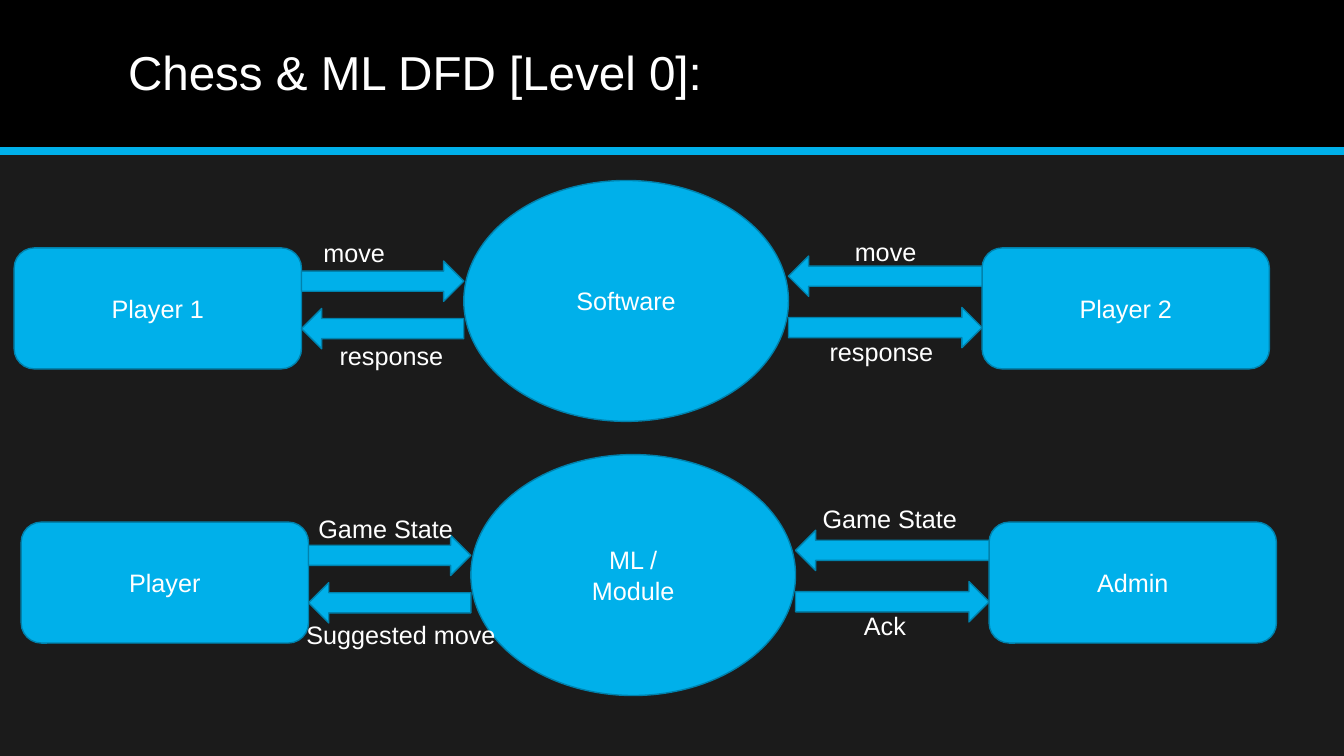
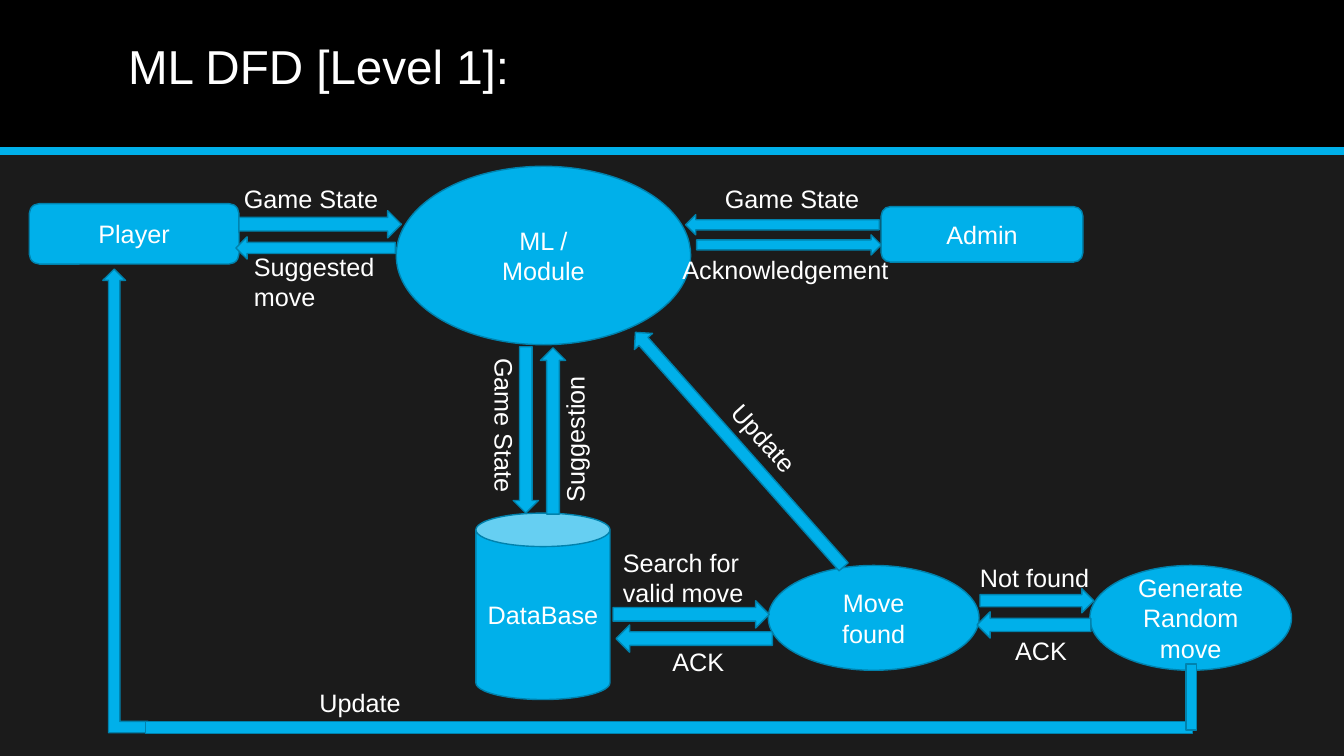
from dataclasses import dataclass

import pptx
import pptx.util
from lxml import etree
from pptx.dml.color import RGBColor
from pptx.enum.shapes import MSO_CONNECTOR, MSO_SHAPE
from pptx.enum.text import MSO_ANCHOR, MSO_AUTO_SIZE, PP_ALIGN
from pptx.oxml.ns import qn
from pptx.presentation import Presentation
from pptx.shapes.autoshape import Shape
from pptx.slide import Slide, SlideLayout
from pptx.text.text import TextFrame
from pptx.util import Inches, Pt


@dataclass(frozen=True)
class Theme:
    background: RGBColor = RGBColor(0x1B, 0x1B, 0x1B)
    band: RGBColor = RGBColor(0, 0, 0)
    accent: RGBColor = RGBColor(0x00, 0xB0, 0xEA)
    outline: RGBColor = RGBColor(0x00, 0x82, 0xAD)
    text: RGBColor = RGBColor(0xFF, 0xFF, 0xFF)
    font: str = "Arial"
    title_size: int = 34
    text_size: int = 18


THEME = Theme()
SLIDE_WIDTH, SLIDE_HEIGHT = 13.33, 7.5
BAND_HEIGHT = 1.5


@dataclass(frozen=True)
class Block:
    """A preset shape; lengths in inches, rotation in degrees."""
    kind: MSO_SHAPE
    left: float
    top: float
    width: float
    height: float
    text: str = ""
    rotation: float = 0
    mirrored: bool = False


@dataclass(frozen=True)
class Label:
    text: str
    left: float
    top: float
    width: float
    height: float = 0.4
    rotation: float = 0


@dataclass(frozen=True)
class Exchange:
    """Two outer entities that each trade data with a central process."""
    left_entity: str
    process: str
    right_entity: str
    dx: float
    dy: float


def arrow(left: float, top: float, width: float, height: float, rotation: float = 0) -> Block:
    return Block(MSO_SHAPE.RIGHT_ARROW, left, top, width, height, rotation=rotation)


def exchange_blocks(exchange: Exchange) -> list[Block]:
    dx, dy = exchange.dx, exchange.dy
    entity_top, entity_width, entity_height = 2.46 + dy, 2.85, 1.2
    left, process_left, right = 0.14 + dx, 4.6 + dx, 9.74 + dx
    process_width, arrow_height = 3.22, 0.4
    left_gap = left + entity_width
    right_gap = process_left + process_width
    left_span, right_span = process_left - left_gap, right - right_gap
    return [
        Block(MSO_SHAPE.ROUNDED_RECTANGLE, left, entity_top, entity_width, entity_height,
              exchange.left_entity),
        Block(MSO_SHAPE.OVAL, process_left, 1.79 + dy, process_width, 2.39, exchange.process),
        Block(MSO_SHAPE.ROUNDED_RECTANGLE, right, entity_top, entity_width, entity_height,
              exchange.right_entity),
        arrow(left_gap, 2.59 + dy, left_span, arrow_height),
        arrow(left_gap, 3.06 + dy, left_span, arrow_height, 180),
        arrow(right_gap, 2.54 + dy, right_span, arrow_height, 180),
        arrow(right_gap, 3.05 + dy, right_span, arrow_height),
    ]


LEVEL_0_EXCHANGES = [
    Exchange("Player 1", "Software", "Player 2", 0, 0),
    Exchange("Player", "ML /\nModule", "Admin", 0.07, 2.72),
]
LEVEL_0_BLOCKS = [block for exchange in LEVEL_0_EXCHANGES for block in exchange_blocks(exchange)]
LEVEL_0_LABELS = [
    Label("move", 3.11, 2.31, 1.26),
    Label("move", 8.38, 2.3, 1.26),
    Label("response", 8.13, 3.29, 1.26),
    Label("response", 3.27, 3.33, 1.26),
    Label("Game State", 3.06, 5.04, 1.71),
    Label("Game State", 8.06, 4.94, 1.83),
    Label("Ack", 8.47, 6.01, 1.26),
    Label("Suggested move", 2.94, 6.09, 2.33),
]

LEVEL_1_BLOCKS = [
    Block(MSO_SHAPE.ROUNDED_RECTANGLE, 0.29, 2.02, 2.08, 0.6, "Player"),
    arrow(2.37, 2.09, 1.61, 0.27),
    Block(MSO_SHAPE.OVAL, 3.93, 1.65, 2.92, 1.77, "ML /\nModule"),
    Block(MSO_SHAPE.ROUNDED_RECTANGLE, 8.74, 2.05, 2, 0.55, "Admin"),
    arrow(4.39, 4.14, 1.65, 0.25, 90),
    arrow(6.8, 2.13, 1.92, 0.2, 180),
    arrow(9.72, 5.84, 1.13, 0.24),
    Block(MSO_SHAPE.CAN, 4.72, 5.09, 1.33, 1.85, "DataBase"),
    Block(MSO_SHAPE.OVAL, 7.62, 5.61, 2.09, 1.04, "Move found"),
    arrow(6.08, 5.96, 1.55, 0.27),
    Block(MSO_SHAPE.OVAL, 10.81, 5.61, 2, 1.04, "Generate Random move"),
    arrow(2.34, 2.35, 1.58, 0.22, 180),
    arrow(6.91, 2.33, 1.83, 0.2),
    arrow(5.78, 4.34, 3.11, 0.24, 228.4),
    arrow(4.66, 4.15, 1.65, 0.25, 270),
    arrow(6.11, 6.2, 1.55, 0.27, 180),
    arrow(9.69, 6.07, 1.13, 0.26, 180),
    Block(MSO_SHAPE.BENT_UP_ARROW, 1.02, 2.67, 0.45, 4.6, mirrored=True),
    Block(MSO_SHAPE.MATH_MINUS, -0.43, 6.96, 14.13, 0.51),
    Block(MSO_SHAPE.MATH_MINUS, 11.37, 6.69, 0.89, 0.45, rotation=90),
]
LEVEL_1_LABELS = [
    Label("Game State", 2.32, 1.77, 1.71),
    Label("Game State", 7.09, 1.77, 1.83),
    Label("Search for valid move", 6.08, 5.38, 1.53, 0.71),
    Label("Not found", 9.62, 5.53, 1.63),
    Label("Game State", 4.09, 4.17, 1.83, rotation=90),
    Label("Suggested move", 2.42, 2.44, 1.89, 0.71),
    Label("Acknowledgement", 6.67, 2.47, 2.3),
    Label("Update", 6.94, 4.45, 1.83, rotation=47.9),
    Label("Suggestion", 4.55, 3.73, 2.3, rotation=270),
    Label("ACK", 6.57, 6.36, 1.53),
    Label("ACK", 9.97, 6.25, 1.53),
    Label("Update", 3.07, 6.77, 1.83),
]


def write_text(text_frame: TextFrame, text: str, size: int, alignment: PP_ALIGN) -> None:
    text_frame.text = text
    text_frame.word_wrap = True
    for paragraph in text_frame.paragraphs:
        paragraph.alignment = alignment
        paragraph.font.name = THEME.font
        paragraph.font.size = Pt(size)
        paragraph.font.color.rgb = THEME.text


def add_filled_shape(slide: Slide, block: Block, fill: RGBColor) -> Shape:
    shape = slide.shapes.add_shape(block.kind, Inches(block.left), Inches(block.top),
                                   Inches(block.width), Inches(block.height))
    shape.shadow.inherit = False
    shape.fill.solid()
    shape.fill.fore_color.rgb = fill
    return shape


def add_block(slide: Slide, block: Block) -> None:
    shape = add_filled_shape(slide, block, THEME.accent)
    shape.line.color.rgb = THEME.outline
    shape.line.width = Pt(1)
    shape.rotation = block.rotation
    if block.mirrored:
        shape.element.spPr.find(qn("a:xfrm")).set("flipH", "1")
    if block.text:
        write_text(shape.text_frame, block.text, THEME.text_size, PP_ALIGN.CENTER)
        shape.text_frame.vertical_anchor = MSO_ANCHOR.MIDDLE


def add_label(slide: Slide, label: Label) -> None:
    text_box = slide.shapes.add_textbox(Inches(label.left), Inches(label.top),
                                        Inches(label.width), Inches(label.height))
    text_box.rotation = label.rotation
    write_text(text_box.text_frame, label.text, THEME.text_size, PP_ALIGN.LEFT)
    text_box.text_frame.auto_size = MSO_AUTO_SIZE.SHAPE_TO_FIT_TEXT


def add_layout_band(slide: Slide, layout: SlideLayout) -> None:
    """Draw the title band on a slide, then move it behind the layout's placeholders."""
    band = add_filled_shape(
        slide, Block(MSO_SHAPE.RECTANGLE, 0, 0, SLIDE_WIDTH, BAND_HEIGHT), THEME.band)
    band.line.fill.background()
    rule = slide.shapes.add_connector(MSO_CONNECTOR.STRAIGHT, 0, Inches(BAND_HEIGHT),
                                      Inches(SLIDE_WIDTH), Inches(BAND_HEIGHT))
    rule.line.color.rgb = THEME.accent
    rule.line.width = Pt(6)
    etree.SubElement(rule.element.spPr, qn("a:effectLst"))
    for position, shape in enumerate((band, rule), start=2):
        layout.shapes.element.insert(position, shape.element)


def set_title(slide: Slide, text: str, height: float) -> None:
    title = slide.shapes.title
    title.left, title.top = Inches(1.17), Inches(0.14)
    title.width, title.height = Inches(11), Inches(height)
    write_text(title.text_frame, text, THEME.title_size, PP_ALIGN.LEFT)
    title.text_frame.auto_size = MSO_AUTO_SIZE.NONE
    title.text_frame.vertical_anchor = MSO_ANCHOR.MIDDLE
    title.text_frame.paragraphs[0].line_spacing = 0.9


def add_diagram_slide(presentation: Presentation, layout: SlideLayout, title: str,
                      title_height: float, blocks: list[Block], labels: list[Label]) -> Slide:
    slide = presentation.slides.add_slide(layout)
    set_title(slide, title, title_height)
    for block in blocks:
        add_block(slide, block)
    for label in labels:
        add_label(slide, label)
    return slide


def main() -> None:
    presentation = pptx.Presentation()
    presentation.slide_width = Inches(SLIDE_WIDTH)
    presentation.slide_height = Inches(SLIDE_HEIGHT)
    background = presentation.slide_master.background.fill
    background.solid()
    background.fore_color.rgb = THEME.background
    layout = presentation.slide_layouts.get_by_name("Title Only")

    level_0 = add_diagram_slide(presentation, layout, "Chess & ML DFD [Level 0]:", 1.2,
                                LEVEL_0_BLOCKS, LEVEL_0_LABELS)
    add_layout_band(level_0, layout)
    add_diagram_slide(presentation, layout, "ML DFD [Level 1]:", 1.1,
                      LEVEL_1_BLOCKS, LEVEL_1_LABELS)
    presentation.save("out.pptx")


if __name__ == "__main__":
    main()
